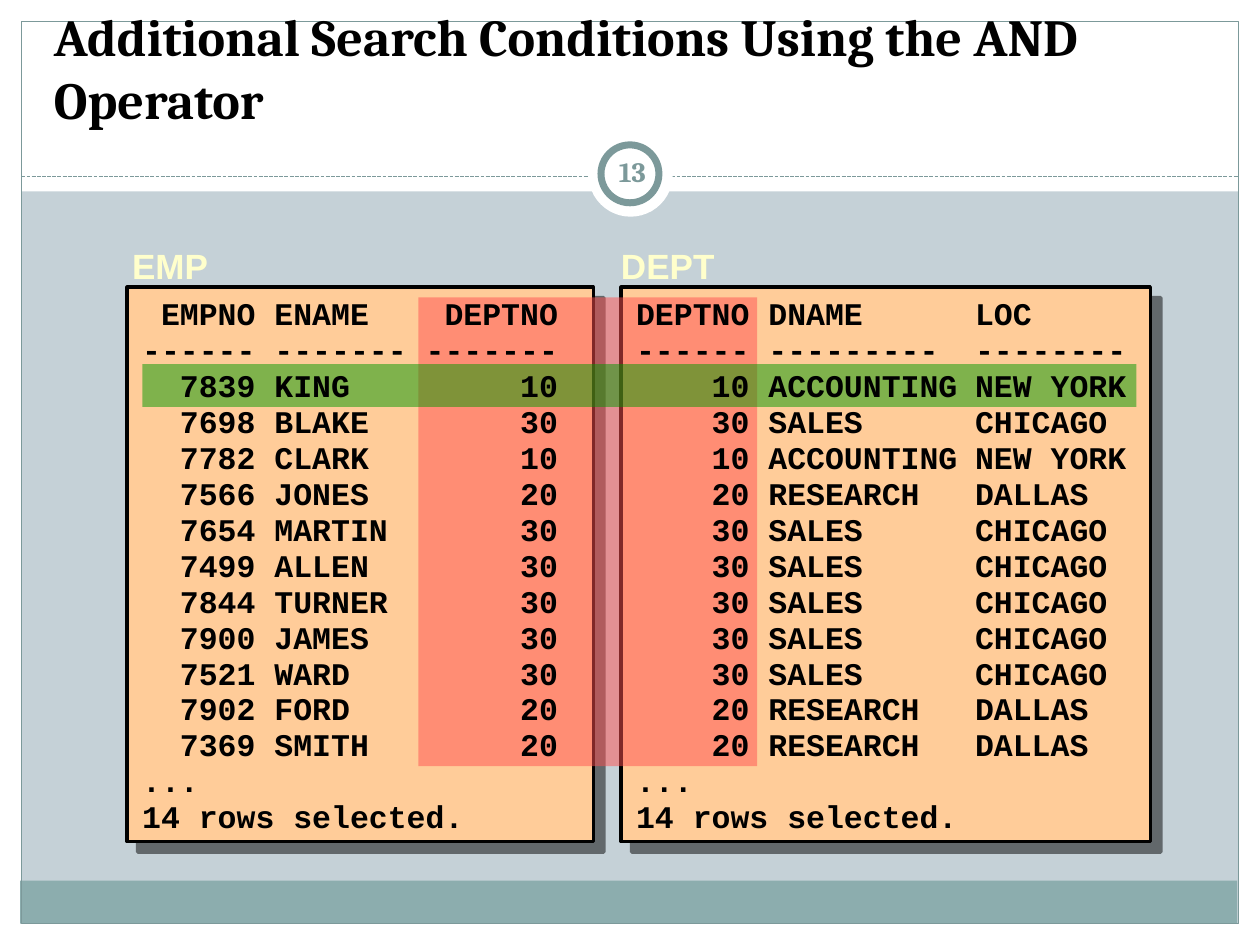
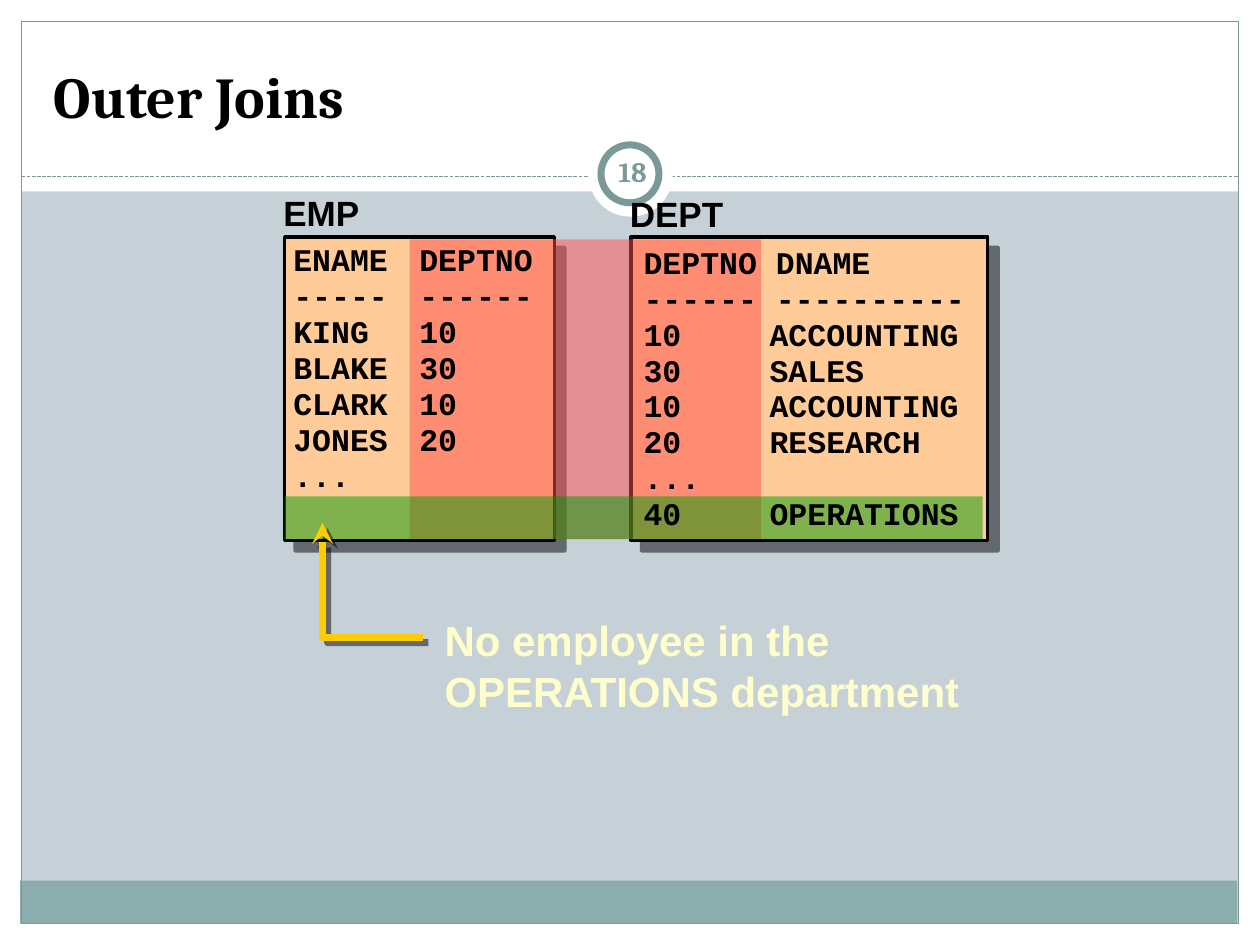
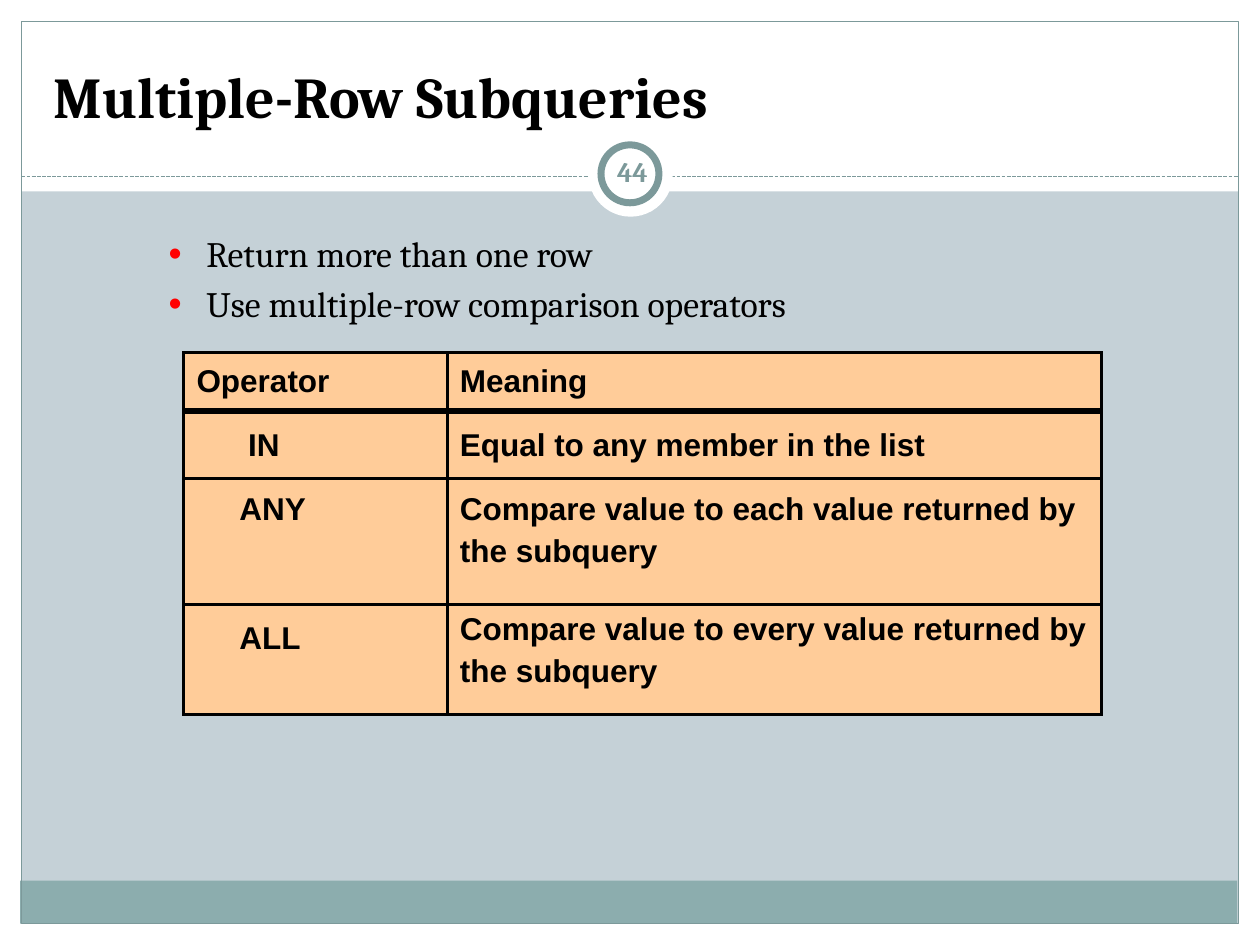
from dataclasses import dataclass, field
from typing import NamedTuple

from pptx import Presentation
from pptx.dml.color import RGBColor
from pptx.enum.dml import MSO_LINE_DASH_STYLE as Dash
from pptx.enum.shapes import MSO_CONNECTOR as Connector, MSO_SHAPE as Preset
from pptx.enum.text import MSO_ANCHOR as Anchor, PP_ALIGN as Align
from pptx.oxml import parse_xml
from pptx.oxml.ns import nsdecls, qn
from pptx.util import Inches, Pt

WHITE = RGBColor(0xFF, 0xFF, 0xFF)
BLACK = RGBColor(0x00, 0x00, 0x00)
MIST = RGBColor(0xC5, 0xD1, 0xD7)
TEAL = RGBColor(0x8C, 0xAD, 0xAE)
DARK_TEAL = RGBColor(0x7C, 0x99, 0x9A)
PEACH = RGBColor(0xFF, 0xCC, 0x99)
CREAM = RGBColor(0xFF, 0xFF, 0xCC)
RED = RGBColor(0xFF, 0x50, 0x50)
BULLET_RED = RGBColor(0xFF, 0x00, 0x00)
GREEN = RGBColor(0x00, 0x99, 0x00)
GOLD = RGBColor(0xFF, 0xCC, 0x00)

CHARACTER = 0.15  # width of one listing character, in inches


class Area(NamedTuple):
    left: float
    top: float
    width: float
    height: float

    def lengths(self) -> list:
        return [Inches(value) for value in self]


class TabStop(NamedTuple):
    position: float
    align: str = "l"


class Cell(NamedTuple):
    text: str
    left: float
    top: float


@dataclass
class Style:
    font: dict
    paragraph: dict = field(default_factory=dict)
    frame: dict = field(default_factory=dict)


@dataclass
class Panel:
    """A boxed query listing with a label above it."""
    label: str
    label_area: Area
    label_style: Style
    area: Area
    text_area: Area
    tabs: list[TabStop]
    lines: list[str]


def font(name: str, size: float, color: RGBColor, bold: bool = True) -> dict:
    return {"name": name, "size": Pt(size), "bold": bold, "color": color}


TITLE = Style(font("Cambria", 33, BLACK), frame={"vertical_anchor": Anchor.BOTTOM})
LONG_TITLE = Style(font("Cambria", 29.7, BLACK), frame=TITLE.frame)
NUMBER = Style(
    font("Cambria", 16, DARK_TEAL),
    {"alignment": Align.CENTER},
    {"vertical_anchor": Anchor.MIDDLE, "margin_left": Inches(0.05), "margin_right": Inches(0.05)},
)
CREAM_LABEL = Style(font("Arial", 20, CREAM))
BLACK_LABEL = Style(font("Arial", 20, BLACK))
CALLOUT = Style(font("Arial", 24, CREAM))
LISTING = Style(font("Courier New", 18, BLACK), {"line_spacing": 0.95})
BULLETS = Style(font("Cambria", 20.4, BLACK, False))
CELL = Style(font("Arial", 18, BLACK), {"line_spacing": 1.2})


def set_values(target, values: dict) -> None:
    for name, value in values.items():
        if name == "color":
            target.color.rgb = value
        else:
            setattr(target, name, value)


def write(frame, lines: list[str], style: Style) -> None:
    set_values(frame, {"word_wrap": True, **style.frame})
    for index, line in enumerate(lines):
        para = frame.add_paragraph() if index else frame.paragraphs[0]
        para.text = line
        set_values(para, style.paragraph)
        for span in para.runs:
            set_values(span.font, style.font)


def add_text(page, area: Area, lines: list[str], style: Style):
    box = page.shapes.add_textbox(*area.lengths())
    write(box.text_frame, lines, style)
    return box


def format_shape(shape, fill=None, line=None, weight: float = 1) -> None:
    shape.shadow.inherit = False
    if fill is None:
        shape.fill.background()
    else:
        shape.fill.solid()
        shape.fill.fore_color.rgb = fill
    if line is None:
        shape.line.fill.background()
    else:
        set_values(shape.line, {"color": line, "width": Pt(weight)})


def add_shape(page, area: Area, fill=None, line=None, weight: float = 1, preset=Preset.RECTANGLE):
    shape = page.shapes.add_shape(preset, *area.lengths())
    format_shape(shape, fill, line, weight)
    return shape


def add_shadow(shape, distance: float) -> None:
    shape.element.spPr.find(qn("a:effectLst")).append(parse_xml(
        f'<a:outerShdw {nsdecls("a")} blurRad="0" dist="{Pt(distance)}" dir="2700000" '
        'algn="ctr" rotWithShape="0"><a:srgbClr val="000000"><a:alpha val="50000"/>'
        '</a:srgbClr></a:outerShdw>'))


def add_highlight(page, area: Area, color: RGBColor) -> None:
    band = add_shape(page, area, color)
    color_xml = band.element.spPr.find(qn("a:solidFill")).find(qn("a:srgbClr"))
    color_xml.append(parse_xml(f'<a:alpha {nsdecls("a")} val="50000"/>'))


def add_page(deck, number: int, title: str, style: Style = TITLE):
    page = deck.slides.add_slide(deck.slide_layouts[6])
    # White margins, footer band and frame
    for area in (Area(0, 7.33, 10, 0.17), Area(0, 0, 10, 1.52),
                 Area(0, 0, 0.17, 7.5), Area(9.83, 0, 0.17, 7.5)):
        add_shape(page, area, WHITE)
    add_shape(page, Area(0.16, 6.99, 9.66, 0.34), TEAL)
    add_shape(page, Area(0.17, 0.17, 9.66, 7.16), line=DARK_TEAL, weight=0.75)
    # Dashed rule with the page number in a ring
    rule = page.shapes.add_connector(
        Connector.STRAIGHT, Inches(0.17), Inches(1.4), Inches(9.83), Inches(1.4))
    set_values(rule.line, {"color": DARK_TEAL, "width": Pt(0.75), "dash_style": Dash.SQUARE_DOT})
    rule.element.spPr.append(parse_xml(f'<a:effectLst {nsdecls("a")}/>'))
    add_shape(page, Area(4.67, 1.05, 0.67, 0.67), WHITE, preset=Preset.OVAL)
    add_shape(page, Area(4.77, 1.15, 0.46, 0.46), WHITE, DARK_TEAL, 4, Preset.OVAL)
    add_text(page, Area(0.33, 0.25, 9.33, 0.83), [title], style)
    add_text(page, Area(4.77, 1.12, 0.5, 0.48), [str(number)], NUMBER)
    return page


def add_panels(page, panels: list[Panel], highlights: list[tuple[Area, RGBColor]]) -> None:
    for panel in panels:
        add_shadow(add_shape(page, panel.area, PEACH, BLACK, 2), 8.5)
        add_text(page, panel.label_area, [panel.label], panel.label_style)
    for area, color in highlights:
        add_highlight(page, area, color)
    for panel in panels:
        box = add_text(page, panel.text_area, panel.lines, LISTING)
        stops = "".join(
            f'<a:tab pos="{Inches(stop.position)}" algn="{stop.align}"/>' for stop in panel.tabs)
        for para in box.text_frame.paragraphs:
            para._p.get_or_add_pPr().append(
                parse_xml(f'<a:tabLst {nsdecls("a")}>{stops}</a:tabLst>'))


def add_and_page(deck) -> None:
    page = add_page(deck, 13, "Additional Search Conditions Using the AND Operator", LONG_TITLE)
    number_end = TabStop(6 * CHARACTER, "r")
    name_start = TabStop(7 * CHARACTER)
    closing = ["...", "14 rows selected."]
    employees = [
        ("EMPNO", "ENAME", "DEPTNO"), ("------", "-------", "-------"),
        ("7839", "KING", "10"), ("7698", "BLAKE", "30"), ("7782", "CLARK", "10"),
        ("7566", "JONES", "20"), ("7654", "MARTIN", "30"), ("7499", "ALLEN", "30"),
        ("7844", "TURNER", "30"), ("7900", "JAMES", "30"), ("7521", "WARD", "30"),
        ("7902", "FORD", "20"), ("7369", "SMITH", "20"),
    ]
    accounting = ("10", "ACCOUNTING", "NEW YORK")
    sales = ("30", "SALES", "CHICAGO")
    research = ("20", "RESEARCH", "DALLAS")
    departments = [
        ("DEPTNO", "DNAME", "LOC"), ("------", "---------", "--------"),
        accounting, sales, accounting, research, *[sales] * 5, research, research,
    ]

    def listing(rows: list[tuple]) -> list[str]:
        return ["\t" + "\t".join(row) for row in rows] + closing

    add_panels(page, [
        Panel("EMP", Area(0.95, 1.89, 0.88, 0.43), CREAM_LABEL,
              Area(1.01, 2.28, 3.7, 4.4), Area(1.03, 2.31, 3.67, 4.37),
              [number_end, name_start, TabStop(22 * CHARACTER, "r")], listing(employees)),
        Panel("DEPT", Area(4.83, 1.89, 1.02, 0.43), CREAM_LABEL,
              Area(4.93, 2.28, 4.2, 4.4), Area(4.95, 2.31, 4.17, 4.37),
              [number_end, name_start, TabStop(2.69)], listing(departments)),
    ], [(Area(3.32, 2.36, 2.69, 3.72), RED), (Area(1.13, 2.89, 7.89, 0.34), GREEN)])


def add_outer_join_page(deck) -> None:
    page = add_page(deck, 18, "Outer Joins")
    tabs = [TabStop(1)]
    add_panels(page, [
        Panel("EMP", Area(2.15, 1.47, 0.88, 0.43), BLACK_LABEL,
              Area(2.26, 1.88, 2.14, 2.41), Area(2.23, 1.88, 2.17, 2.38), tabs,
              ["ENAME\tDEPTNO", "-----\t------", "KING\t10", "BLAKE\t30",
               "CLARK\t10", "JONES\t20", "..."]),
        Panel("DEPT", Area(4.9, 1.48, 1.02, 0.43), BLACK_LABEL,
              Area(5.01, 1.88, 2.83, 2.41), Area(5.01, 1.9, 2.8, 2.38), tabs,
              ["DEPTNO DNAME", "------ ----------", "10\tACCOUNTING", "30\tSALES",
               "10\tACCOUNTING", "20\tRESEARCH", "...", "40\tOPERATIONS"]),
    ], [(Area(3.25, 1.9, 2.79, 2.38), RED), (Area(2.26, 3.94, 5.54, 0.34), GREEN)])

    # Callout with its bent arrow
    add_text(page, Area(3.43, 4.83, 5.1, 0.9),
             ["No employee in the\nOPERATIONS department"], CALLOUT)
    start, *bends = [(Inches(x), Inches(y)) for x, y in ((3.36, 5.06), (2.56, 5.06), (2.56, 4.15))]
    builder = page.shapes.build_freeform(*start)
    builder.add_line_segments(bends, close=False)
    arrow = builder.convert_to_shape()
    format_shape(arrow, line=GOLD, weight=4)
    add_shadow(arrow, 4.2)
    outline = arrow.element.spPr.find(qn("a:ln"))
    for tag in ("round", 'tailEnd type="stealth"'):
        name, _, attribute = tag.partition(" ")
        outline.append(parse_xml(f'<a:{name} {nsdecls("a")} {attribute}/>'))


def set_borders(cell, weights: dict[str, float]) -> None:
    properties = cell._tc.get_or_add_tcPr()
    for index, (side, weight) in enumerate(weights.items()):
        properties.insert(index, parse_xml(
            f'<a:{side} {nsdecls("a")} w="{Pt(weight)}"><a:solidFill>'
            f'<a:srgbClr val="{BLACK}"/></a:solidFill></a:{side}>'))


def add_subquery_page(deck) -> None:
    page = add_page(deck, 44, "Multiple-Row Subqueries")

    # Bullets
    box = add_text(page, Area(0.94, 1.79, 8.39, 0.8),
                   ["Return more than one row", "Use multiple-row comparison operators"], BULLETS)
    for index, para in enumerate(box.text_frame.paragraphs):
        properties = para._p.get_or_add_pPr()
        properties.set("marL", str(Inches(0.6)))
        properties.set("indent", str(Inches(-0.3)))
        for bullet in (f'<a:buClr {nsdecls("a")}><a:srgbClr val="{BULLET_RED}"/></a:buClr>',
                       f'<a:buSzPct {nsdecls("a")} val="105000"/>',
                       f'<a:buFont {nsdecls("a")} typeface="Arial"/>',
                       f'<a:buChar {nsdecls("a")} char="•"/>'):
            properties.append(parse_xml(bullet))
        if index:
            para.space_before = Pt(4)

    # Operator table
    rows = [
        (0.46, Cell("Operator", 0.1, 0.03), Cell("Meaning", 0.1, 0.03)),
        (0.54, Cell("IN", 0.51, 0.08), Cell("Equal to any member in the list", 0.1, 0.08)),
        (1.0, Cell("ANY", 0.44, 0.05),
         Cell("Compare value to each value returned by the subquery", 0.1, 0.05)),
        (0.87, Cell("ALL", 0.44, 0.07),
         Cell("Compare value to every value returned by the subquery", 0.1, 0)),
    ]
    area = Area(1.46, 2.8, 7.28, 2.87)
    table = page.shapes.add_table(len(rows), 2, *area.lengths()).table
    set_values(table, {"first_row": False, "horz_banding": False})
    for column, width in zip(table.columns, (2.09, 5.19)):
        column.width = Inches(width)
    for row_index, (height, *contents) in enumerate(rows):
        table.rows[row_index].height = Inches(height)
        for column_index, content in enumerate(contents):
            cell = table.cell(row_index, column_index)
            set_values(cell, {
                "margin_left": Inches(content.left), "margin_top": Inches(content.top),
                "margin_right": Inches(0.05), "margin_bottom": 0,
                "vertical_anchor": Anchor.TOP})
            cell.fill.solid()
            cell.fill.fore_color.rgb = PEACH
            set_borders(cell, {"lnL": 2, "lnR": 2, "lnT": 4 if row_index == 1 else 2,
                               "lnB": 4 if row_index == 0 else 2})
            write(cell.text_frame, [content.text], CELL)


def main() -> None:
    deck = Presentation()
    set_values(deck, {"slide_width": Inches(10), "slide_height": Inches(7.5)})
    background = deck.slide_master.background.fill
    background.solid()
    background.fore_color.rgb = MIST
    add_and_page(deck)
    add_outer_join_page(deck)
    add_subquery_page(deck)
    deck.save("out.pptx")


if __name__ == "__main__":
    main()
